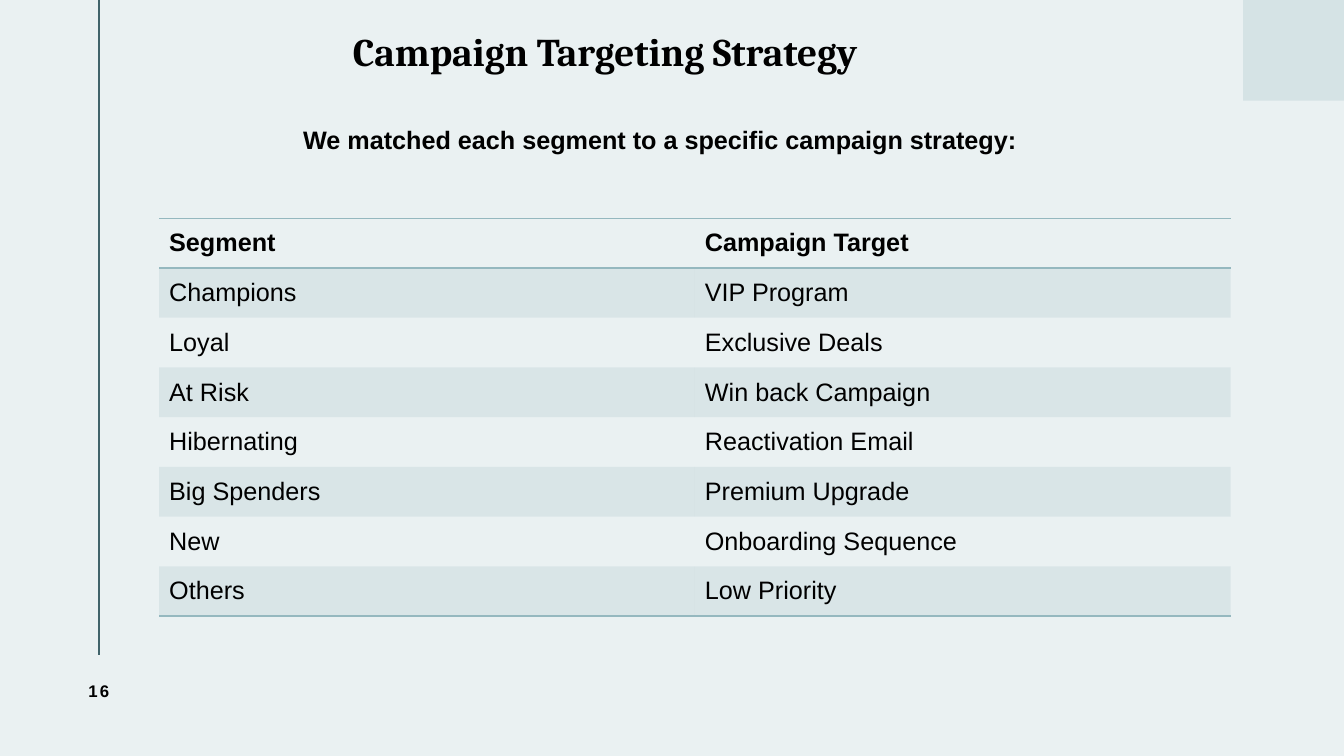
from lxml.etree import SubElement
from pptx import Presentation
from pptx.dml.color import RGBColor
from pptx.enum.shapes import MSO_CONNECTOR, MSO_SHAPE
from pptx.enum.text import MSO_ANCHOR, MSO_AUTO_SIZE, PP_ALIGN
from pptx.oxml.ns import qn
from pptx.util import Cm, Pt

COLOURS = {
    "background": "EAF1F2",
    "rule": "40636A",
    "corner": "D5E3E5",
    "table": "95B8BF",
    "ink": "000000",
}
NO_GRID_STYLE = "{2D5ABB26-0587-4C30-8999-92F81FD0307C}"
CAMPAIGNS = [
    ("Segment", "Campaign Target"),
    ("Champions", "VIP Program"),
    ("Loyal", "Exclusive Deals"),
    ("At Risk", "Win back Campaign"),
    ("Hibernating", "Reactivation Email"),
    ("Big Spenders", "Premium Upgrade"),
    ("New", "Onboarding Sequence"),
    ("Others", "Low Priority"),
]


def colour(name):
    return RGBColor.from_string(COLOURS[name])


def write(frame, text, size=18, font="Arial", bold=False, align=PP_ALIGN.LEFT,
          spacing=None, after=None, tracking=None):
    paragraph = frame.paragraphs[0]
    paragraph.alignment = align
    paragraph.line_spacing = spacing
    paragraph.space_after = after
    run = paragraph.add_run()
    run.text = text
    run.font.size = Pt(size)
    run.font.name = font
    run.font.bold = bold
    run.font.color.rgb = colour("ink")
    if tracking:
        run.font._element.set("spc", str(tracking))


class StrategySlide:
    def __init__(self, deck):
        self.slide = deck.slides.add_slide(deck.slide_layouts[5])
        self.shapes = self.slide.shapes
        self.slide.background.fill.solid()
        self.slide.background.fill.fore_color.rgb = colour("background")

    def title(self, text, left, top, width, height):
        heading = self.shapes.title
        heading.left, heading.top = Cm(left), Cm(top)
        heading.width, heading.height = Cm(width), Cm(height)
        frame = heading.text_frame
        frame.auto_size = MSO_AUTO_SIZE.NONE
        frame.vertical_anchor = MSO_ANCHOR.MIDDLE
        frame.margin_left = 0
        write(frame, text, size=28, font="Cambria", bold=True, spacing=0.9)

    def rule(self, x, top, bottom):
        rule = self.shapes.add_connector(
            MSO_CONNECTOR.STRAIGHT, Cm(x), Cm(top), Cm(x), Cm(bottom))
        rule.line.color.rgb = colour("rule")
        rule.line.width = Pt(1.5)
        SubElement(rule.element.spPr, qn("a:effectLst"))

    def block(self, left, top, width, height):
        block = self.shapes.add_shape(
            MSO_SHAPE.RECTANGLE, Cm(left), Cm(top), Cm(width), Cm(height))
        block.shadow.inherit = False
        block.fill.solid()
        block.fill.fore_color.rgb = colour("corner")
        block.line.fill.background()

    def text(self, text, left, top, width, height,
             anchor=MSO_ANCHOR.TOP, **style):
        box = self.shapes.add_textbox(Cm(left), Cm(top), Cm(width), Cm(height))
        box.text_frame.word_wrap = True
        box.text_frame.vertical_anchor = anchor
        write(box.text_frame, text, **style)

    def table(self, rows, left, top, width, height):
        holder = self.shapes.add_table(
            len(rows), len(rows[0]), Cm(left), Cm(top), Cm(width), Cm(height))
        for style_id in holder.element.iter(qn("a:tableStyleId")):
            style_id.text = NO_GRID_STYLE
        for number, entries in enumerate(rows):
            for column, entry in enumerate(entries):
                cell = holder.table.cell(number, column)
                cell.vertical_anchor = MSO_ANCHOR.MIDDLE
                write(cell.text_frame, entry, bold=number == 0)
                if number == 0:
                    self.border(cell, "a:lnT")
                if number in (0, len(rows) - 1):
                    self.border(cell, "a:lnB")
                if number % 2:
                    self.tint(cell)
                else:
                    cell.fill.background()

    def border(self, cell, side):
        properties = cell._tc.get_or_add_tcPr()
        edge = SubElement(properties, qn(side), w=str(Pt(1)))
        paint = SubElement(edge, qn("a:solidFill"))
        SubElement(paint, qn("a:srgbClr"), val=COLOURS["table"])

    def tint(self, cell):
        cell.fill.solid()
        cell.fill.fore_color.rgb = colour("table")
        fill = cell._tc.tcPr.find(qn("a:solidFill"))
        SubElement(fill[0], qn("a:alpha"), val="20000")


def main():
    deck = Presentation()
    deck.slide_width, deck.slide_height = Cm(33.87), Cm(19.05)
    strategy = StrategySlide(deck)
    strategy.rule(2.5, 0, 16.51)
    strategy.block(31.33, 0, 2.54, 2.54)
    strategy.text("16", 1.14, 16.51, 2.7, 1.8, anchor=MSO_ANCHOR.MIDDLE, size=12,
                  bold=True, align=PP_ALIGN.CENTER, after=Pt(6), tracking=150)
    strategy.title("Campaign Targeting Strategy", 8.89, 0.28, 14.58, 2.16)
    strategy.table(CAMPAIGNS, 4.01, 5.5, 27, 10.03)
    strategy.text("We matched each segment to a specific campaign strategy:",
                  7.39, 3, 19.1, 1.02, bold=True)
    deck.save("out.pptx")


if __name__ == "__main__":
    main()
